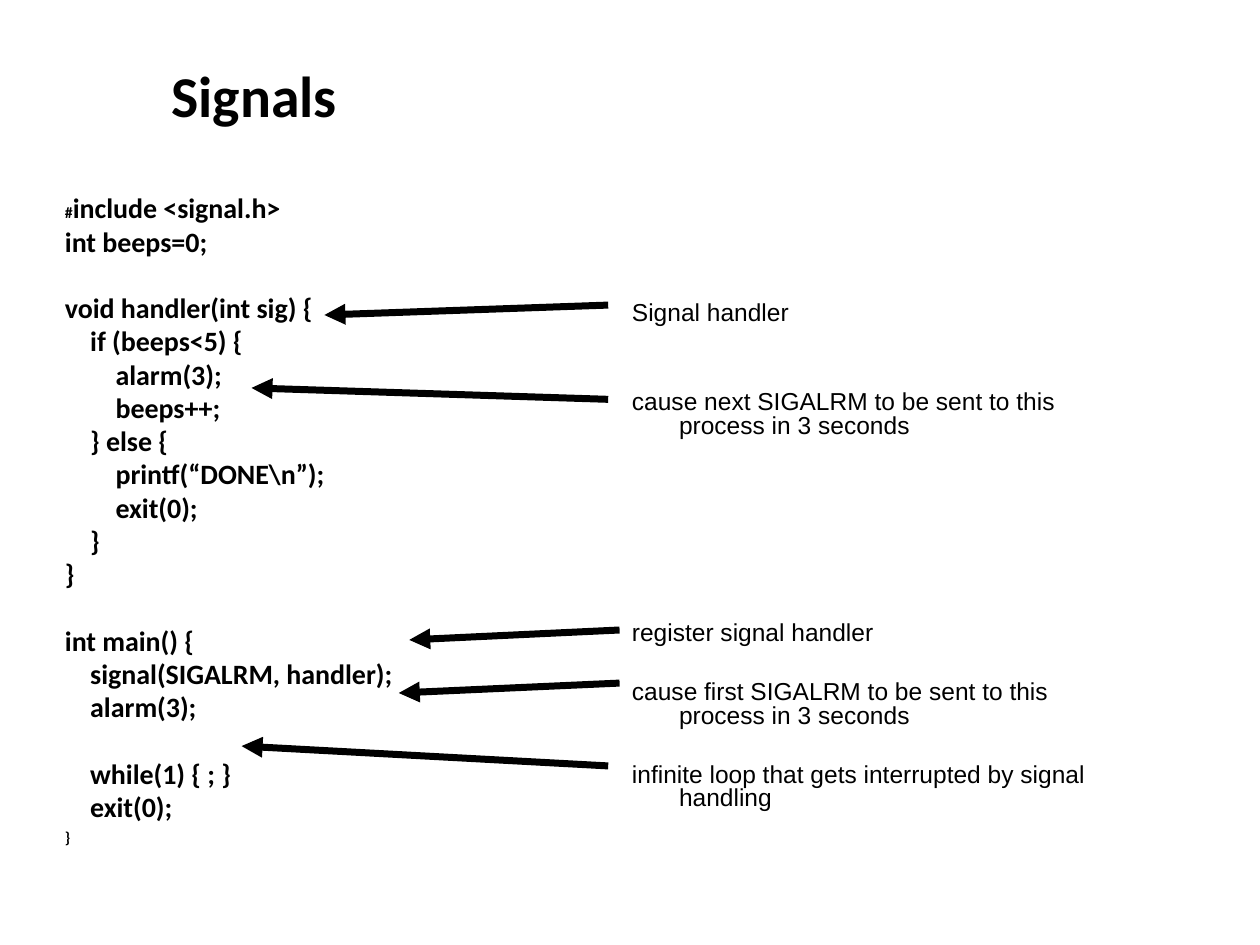
import pptx
import pptx.util
import pptx.dml.color
import pptx.enum.shapes
import pptx.enum.text
import pptx.oxml.ns
from lxml import etree

Cm, Pt = pptx.util.Cm, pptx.util.Pt
INK = "000000"

CODE = [
    (0, 0, [("#", 9), ("include <signal.h>", 16)]),
    (0, 0, [("int beeps=0;", 16)]),
    (1, 0, [("void handler(int sig) {", 16)]),
    (0, 1, [("if (beeps<5) {", 16)]),
    (0, 2, [("alarm(3);", 16)]),
    (0, 2, [("beeps++;", 16)]),
    (0, 1, [("} else {", 16)]),
    (0, 2, [(r"printf(“DONE\n”);", 16)]),
    (0, 2, [("exit(0);", 16)]),
    (0, 1, [("}", 16)]),
    (0, 0, [("}", 16)]),
    (1, 0, [("int main() {", 16)]),
    (0, 1, [("signal(SIGALRM, handler);", 16)]),
    (0, 1, [("alarm(3);", 16)]),
    (1, 1, [("while(1) { ; }", 16)]),
    (0, 1, [("exit(0);", 16)]),
    (0, 0, [("}", 9)]),
]

NOTES = [
    (0, "Signal handler", (-0.23, 1.5, -5.95, 1.7)),
    (2, "cause next SIGALRM to be sent to this process in 3 seconds",
     (-0.23, 3.4, -7.42, 3.17)),
    (6, "register signal handler", (0, 8.05, -4.24, 8.25)),
    (1, "cause first SIGALRM to be sent to this process in 3 seconds",
     (0, 9.12, -4.45, 9.32)),
    (1, "infinite loop that gets interrupted by signal handling",
     (-0.23, 10.79, -7.62, 10.39)),
]


def tint(target, code):
    target.rgb = pptx.dml.color.RGBColor.from_string(code)


def add_run(para, text, size, face, bold=False):
    run = para.add_run()
    run.text = text
    run.font.size = Pt(size)
    run.font.name = face
    run.font.bold = bold
    tint(run.font.color, INK)


def add_box(slide, box):
    frame = slide.shapes.add_textbox(*map(Cm, box)).text_frame
    frame.word_wrap = True
    return frame


def next_para(frame, first, left, hang, lines, space):
    para = frame.paragraphs[0] if first else frame.add_paragraph()
    props = para._p.get_or_add_pPr()
    props.set("marL", str(Cm(left)))
    props.set("indent", str(-Cm(hang)))
    para.line_spacing = lines
    para.space_before = Pt(space)
    return para


def add_arrow(slide, ends):
    line = slide.shapes.add_connector(
        pptx.enum.shapes.MSO_CONNECTOR.STRAIGHT, *map(Cm, ends))
    line.line.width = Pt(4)
    line.line.fill.solid()
    tint(line.line.fill.fore_color, INK)
    qn = pptx.oxml.ns.qn
    etree.SubElement(line.line._get_or_add_ln(), qn("a:tailEnd"), type="triangle")
    etree.SubElement(line._element.spPr, qn("a:effectLst"))


def put_title(slide, box):
    title = slide.shapes.title
    title.left, title.top, title.width, title.height = map(Cm, box)
    frame = title.text_frame
    frame.auto_size = pptx.enum.text.MSO_AUTO_SIZE.NONE
    frame.vertical_anchor = pptx.enum.text.MSO_ANCHOR.MIDDLE
    para = frame.paragraphs[0]
    para.alignment = pptx.enum.text.PP_ALIGN.LEFT
    para.line_spacing = 0.9
    add_run(para, "Signals", 33, "Calibri", True)


def put_code(slide, box):
    frame = add_box(slide, box)
    for row, (skip, level, parts) in enumerate(CODE):
        para = next_para(frame, row == 0, 0.48 + 0.51 * level, 0.48,
                         0.6, 7.5 + 19 * skip)
        for text, size in parts:
            add_run(para, text, size, "Calibri", True)


def put_notes(slide, box):
    left, top = box[:2]
    frame = add_box(slide, box)
    frame.margin_top = Cm(1.46)
    for row, (skip, text, (x1, y1, x2, y2)) in enumerate(NOTES):
        para = next_para(frame, row == 0, 0.95, 0.95, 0.8, 3.5 + 16.9 * skip)
        add_run(para, text, 14, "Arial")
        add_arrow(slide, (left + x1, top + y1, left + x2, top + y2))


def main():
    deck = pptx.Presentation()
    deck.slide_width, deck.slide_height = Cm(25.4), Cm(19.05)
    slide = deck.slides.add_slide(deck.slide_layouts[5])
    put_title(slide, (3.2, 0.6, 21.64, 2.79))
    put_code(slide, (1.06, 3.96, 9.32, 13.97))
    put_notes(slide, (12.49, 4.65, 9.96, 12.57))
    deck.save("out.pptx")


if __name__ == "__main__":
    main()
